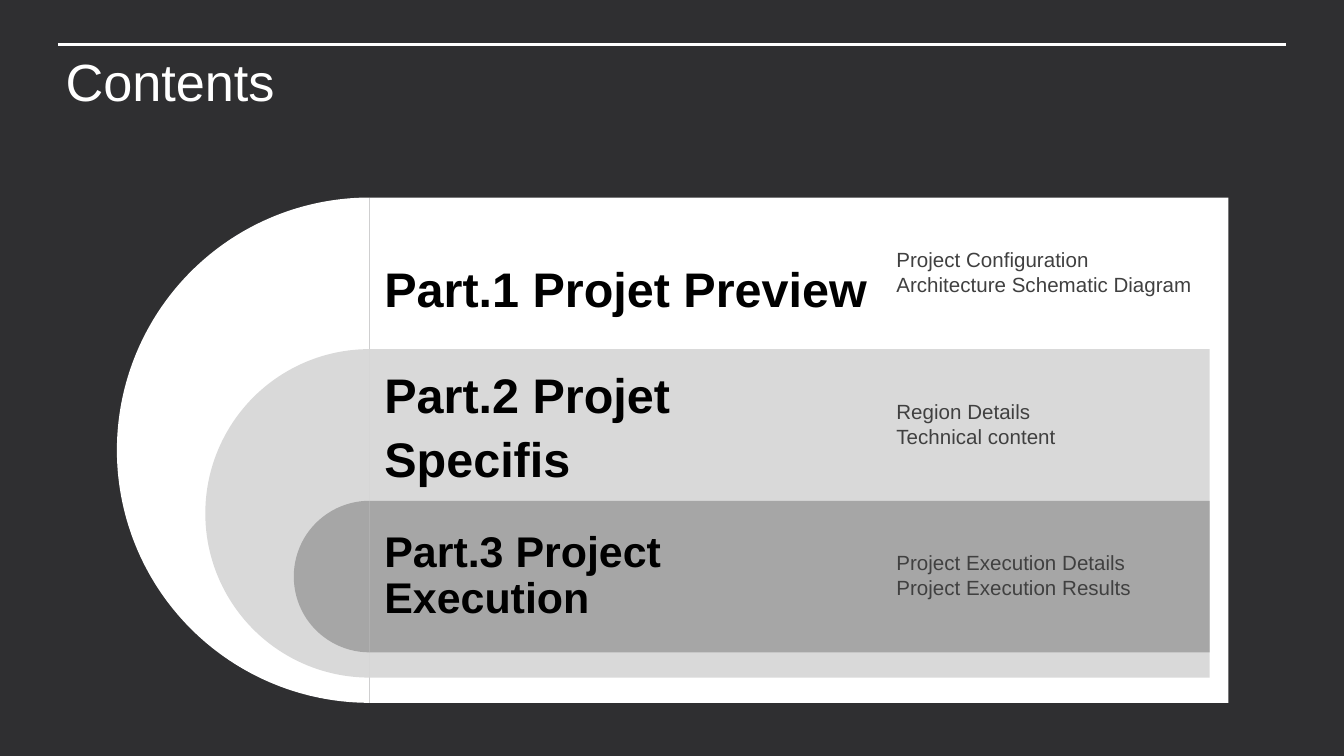
from pptx import Presentation
from pptx.dml.color import RGBColor
from pptx.enum.shapes import MSO_CONNECTOR, MSO_SHAPE
from pptx.enum.text import MSO_ANCHOR, PP_ALIGN
from pptx.oxml.ns import qn
from pptx.util import Inches, Pt

PIE, RECT = MSO_SHAPE.PIE, MSO_SHAPE.RECTANGLE
LINE = MSO_CONNECTOR.STRAIGHT
MIDDLE, LEFT = MSO_ANCHOR.MIDDLE, PP_ALIGN.LEFT

TITLE = "Contents"
PARTS = [
    {"name": "Part.1 Projet Preview", "size": 26, "lead": Pt(51),
     "fill": "FFFFFF", "right": 9.14, "foot": 2.8,
     "notes": ["Project Configuration", "Architecture Schematic Diagram"]},
    {"name": "Part.2 Projet Specifis", "size": 26, "lead": Pt(34),
     "fill": "D9D9D9", "right": 9, "foot": 1.45,
     "notes": ["Region Details", "Technical content"]},
    {"name": "Part.3 Project Execution", "size": 23, "lead": 0.9,
     "fill": "A6A6A6", "right": 9, "foot": 0.11,
     "notes": ["Project Execution Details", "Project Execution Results"]},
]
THEME = {
    "back": "2F2F31", "rule": "FFFFFF",
    "title": {"size": 28, "color": "FFFFFF"},
    "part": {"color": "000000", "bold": True},
    "note": {"size": 11, "color": "404040"},
    "font": "Arial",
}

# Bands share a left edge; each starts one row lower and is shorter by a step.
WIDE = Inches(10)
EDGE, TOP, TALL = 2.75, 1.47, 3.76
ROW, STEP = TALL * 0.3, TALL * 0.35
NOTE_X, NOTE_W = 6.61, 2.38


def rgb(code):
    return RGBColor.from_string(code)


def write(shape, lines, style, pad, lead=1.0, gap=0):
    """Fill a shape with lines; pad is left, top, right, bottom in inches."""
    frame = shape.text_frame
    frame.word_wrap = True
    frame.vertical_anchor = MIDDLE
    for side, inset in zip(("left", "top", "right", "bottom"), pad):
        setattr(frame, f"margin_{side}", Inches(inset))
    for i, line in enumerate(lines):
        para = frame.add_paragraph() if i else frame.paragraphs[0]
        form = {"alignment": LEFT, "line_spacing": lead,
                "space_after": Pt(gap)}
        for key, value in form.items():
            setattr(para, key, value)
        run = para.add_run()
        run.text = line
        face = {"name": THEME["font"], "size": Pt(style["size"]),
                "bold": style.get("bold", False)}
        for key, value in face.items():
            setattr(run.font, key, value)
        run.font.color.rgb = rgb(style["color"])


def block(slide, kind, box, fill):
    shape = slide.shapes.add_shape(kind, *map(Inches, box))
    shape.shadow.inherit = False
    shape.fill.solid()
    shape.fill.fore_color.rgb = rgb(fill)
    shape.line.fill.background()
    return shape


def band(slide, i, part):
    """Draw one half disc with the bar that runs on from it."""
    top, high = TOP + i * ROW, TALL - i * STEP
    disc = block(slide, PIE, (EDGE - high / 2, top, high, high), part["fill"])
    disc.adjustments[0], disc.adjustments[1] = 54, 162  # left half
    bar = block(slide, RECT, (EDGE, top, part["right"] - EDGE, high),
                part["fill"])
    write(bar, [part["name"]], {**THEME["part"], "size": part["size"]},
          (0.11, 0.11, 2.63, part["foot"]), part["lead"])


def note(slide, i, part):
    box = slide.shapes.add_textbox(
        *map(Inches, (NOTE_X, TOP + i * ROW, NOTE_W, ROW)))
    write(box, part["notes"], THEME["note"], (0.06,) * 4, 0.9, 1.65)


def header(slide):
    rule = slide.shapes.add_connector(
        LINE, *map(Inches, (0.43, 0.33, 9.57, 0.33)))
    rule.line.color.rgb = rgb(THEME["rule"])
    rule.line.width = Pt(1.5)
    props = rule._element.spPr
    props.append(props.makeelement(qn("a:effectLst"), {}))
    box = slide.shapes.add_textbox(*map(Inches, (0.39, 0.32, 9.14, 0.56)))
    write(box, [TITLE], THEME["title"], (0.1, 0.05, 0.1, 0.05))


def main():
    deck = Presentation()
    deck.slide_width, deck.slide_height = WIDE, WIDE * 9 // 16
    slide = deck.slides.add_slide(deck.slide_layouts[6])
    slide.background.fill.solid()
    slide.background.fill.fore_color.rgb = rgb(THEME["back"])
    header(slide)
    for draw in (band, note):
        for i, part in enumerate(PARTS):
            draw(slide, i, part)
    deck.save("out.pptx")


if __name__ == "__main__":
    main()
